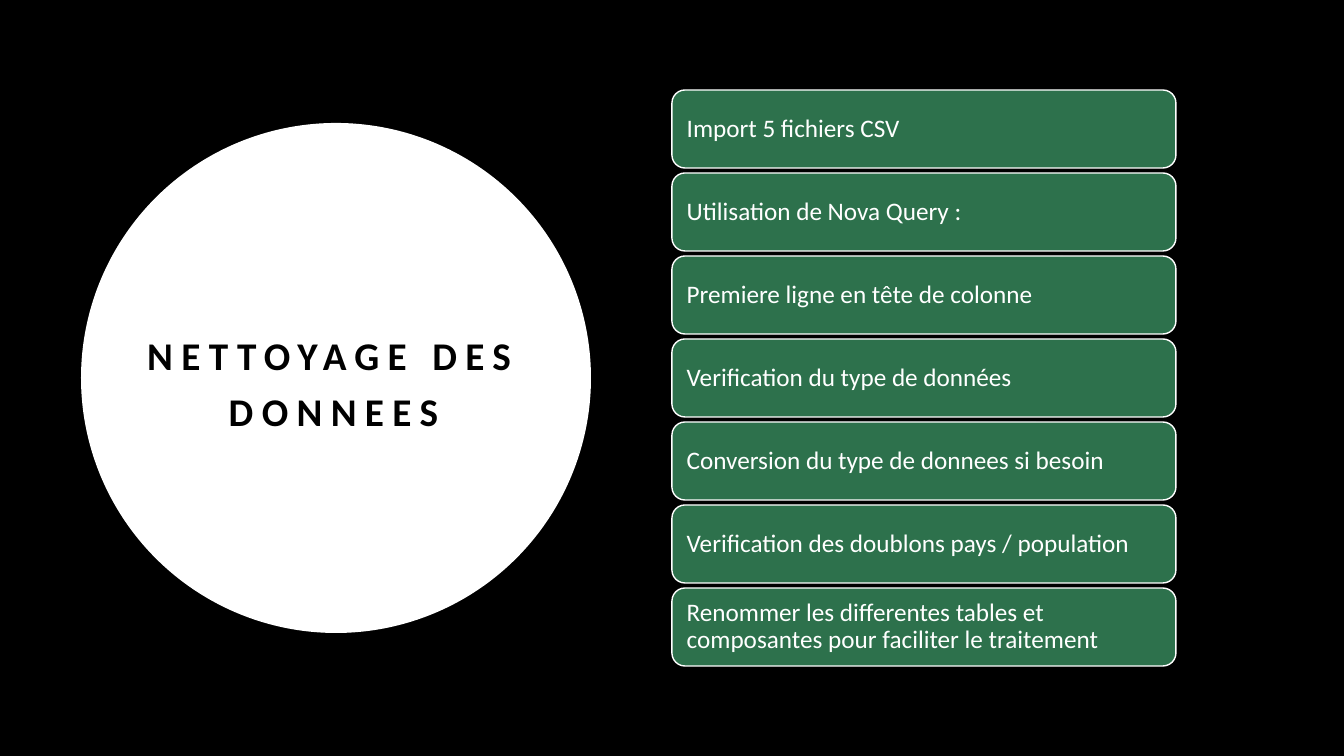
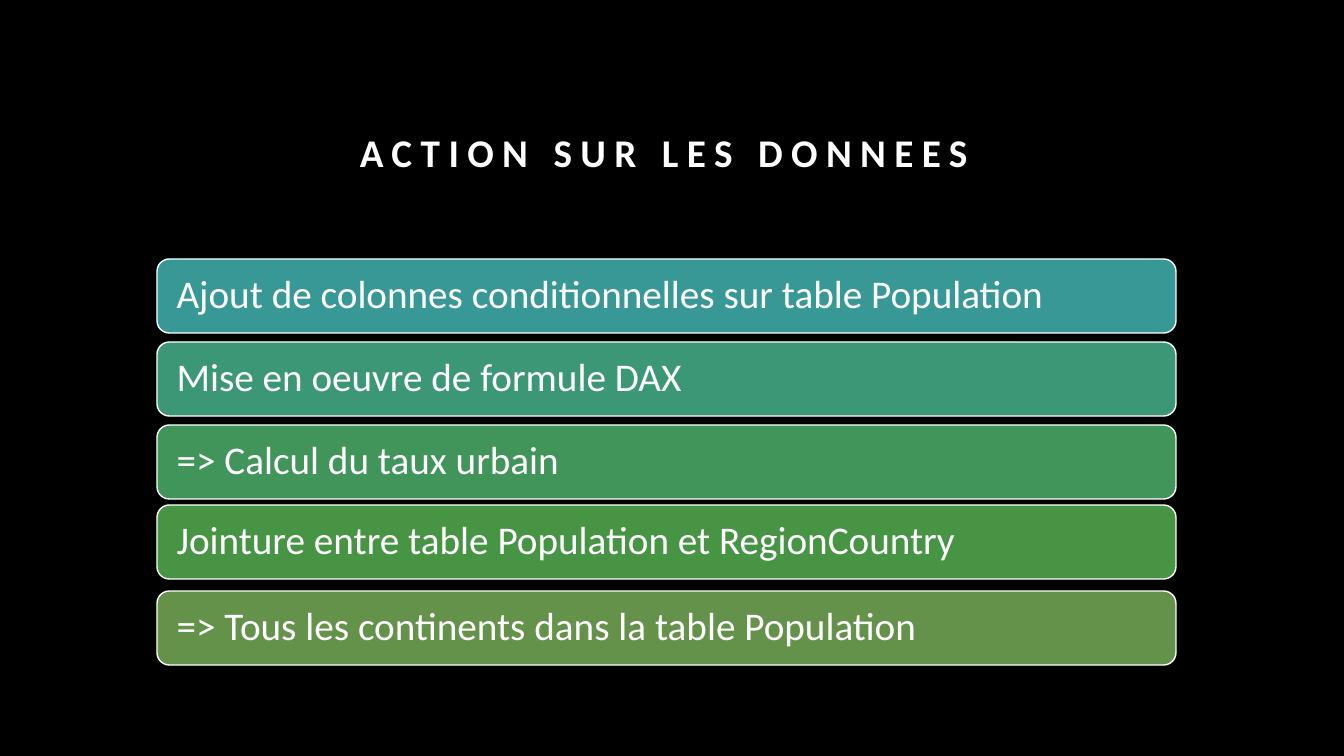
from pptx import Presentation
from pptx.dml.color import RGBColor
from pptx.enum.shapes import MSO_SHAPE
from pptx.enum.text import MSO_ANCHOR, MSO_AUTO_SIZE, PP_ALIGN
from pptx.util import Emu, Pt

SLIDE_WIDTH, SLIDE_HEIGHT = 1344, 756
EMU_PER_PX = 12192000 / SLIDE_WIDTH

BLACK = RGBColor(0x00, 0x00, 0x00)
WHITE = RGBColor(0xFF, 0xFF, 0xFF)
GREEN = RGBColor(0x2D, 0x71, 0x4C)
TEAL = RGBColor(0x38, 0x98, 0x96)
SEA_GREEN = RGBColor(0x3C, 0x97, 0x77)
JADE = RGBColor(0x41, 0x95, 0x5B)
LEAF = RGBColor(0x47, 0x94, 0x45)
OLIVE = RGBColor(0x64, 0x92, 0x4A)

FONT = "Calibri"
TITLE_STYLE = dict(size=28, bold=True, align=PP_ALIGN.CENTER,
                   line_spacing=1.2, tracking=6, inset=10)


def box(*lengths):
    """Turn lengths in px into EMU."""
    return [Emu(round(length * EMU_PER_PX)) for length in lengths]


def write_text(shape, text, *, size, inset, color=WHITE, bold=False,
               align=PP_ALIGN.LEFT, anchor=MSO_ANCHOR.MIDDLE,
               line_spacing=0.9, tracking=0):
    frame = shape.text_frame
    frame.word_wrap = True
    frame.auto_size = MSO_AUTO_SIZE.NONE
    frame.vertical_anchor = anchor
    frame.margin_left, frame.margin_right = box(inset, inset)
    frame.margin_top, frame.margin_bottom = box(5, 5)
    paragraph = frame.paragraphs[0]
    paragraph.alignment = align
    paragraph.line_spacing = line_spacing
    run = paragraph.add_run()
    run.text = text
    run.font.name = FONT
    run.font.size = Pt(size)
    run.font.bold = bold
    run.font.color.rgb = color
    if tracking:
        run.font._element.set("spc", str(tracking * 100))


prs = Presentation()
prs.slide_width, prs.slide_height = box(SLIDE_WIDTH, SLIDE_HEIGHT)
background = prs.slide_master.background.fill
background.solid()
background.fore_color.rgb = BLACK
title_only = prs.slide_layouts[5]

cleaning_steps = [
    "Import 5 fichiers CSV",
    "Utilisation de Nova Query :",
    "Premiere ligne en tête de colonne",
    "Verification du type de données",
    "Conversion du type de donnees si besoin",
    "Verification des doublons pays / population",
    "Renommer les differentes tables et composantes pour faciliter le traitement",
]
data_actions = [
    (259, TEAL, "Ajout de colonnes conditionnelles sur table Population"),
    (342, SEA_GREEN, "Mise en oeuvre de formule DAX"),
    (425, JADE, "=> Calcul du taux urbain"),
    (505, LEAF, "Jointure entre table Population et RegionCountry"),
    (591, OLIVE, "=> Tous les continents dans la table Population"),
]

slides = [
    dict(title="NETTOYAGE DES DONNEES", title_box=(115, 252, 437, 252),
         title_color=BLACK, title_anchor=MSO_ANCHOR.MIDDLE,
         circle=(81, 123, 510, 510),
         bars=[(90 + 83 * row, GREEN, step)
               for row, step in enumerate(cleaning_steps)],
         left=672, width=504, height=78, size=18, inset=11),
    dict(title="ACTION SUR LES DONNEES", title_box=(160, 84, 1008, 96),
         title_color=WHITE, title_anchor=MSO_ANCHOR.BOTTOM,
         circle=None, bars=data_actions,
         left=157, width=1019, height=74, size=28, inset=16),
]

for content in slides:
    slide = prs.slides.add_slide(title_only)
    title = slide.shapes.title
    title.left, title.top, title.width, title.height = box(*content["title_box"])
    write_text(title, content["title"], color=content["title_color"],
               anchor=content["title_anchor"], **TITLE_STYLE)

    if content["circle"]:
        circle = slide.shapes.add_shape(MSO_SHAPE.OVAL, *box(*content["circle"]))
        circle.shadow.inherit = False
        circle.fill.solid()
        circle.fill.fore_color.rgb = WHITE
        circle.line.fill.background()
        title._element.addprevious(circle._element)

    for top, color, label in content["bars"]:
        bar = slide.shapes.add_shape(
            MSO_SHAPE.ROUNDED_RECTANGLE,
            *box(content["left"], top, content["width"], content["height"]))
        bar.shadow.inherit = False
        bar.fill.solid()
        bar.fill.fore_color.rgb = color
        bar.line.color.rgb = WHITE
        bar.line.width = Pt(1)
        write_text(bar, label, size=content["size"], inset=content["inset"])

prs.save("out.pptx")
